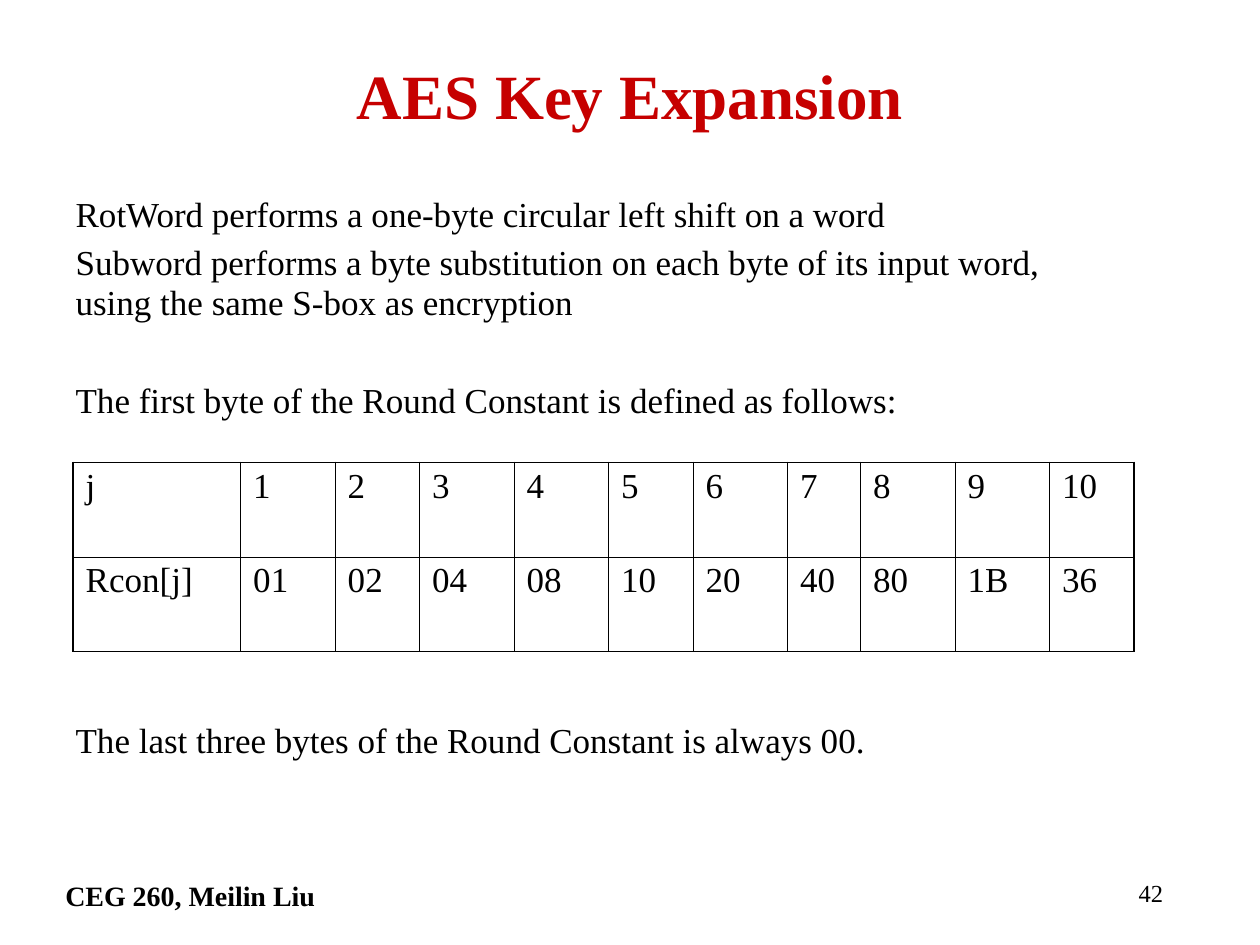
from lxml.etree import SubElement
from pptx import Presentation
from pptx.dml.color import RGBColor
from pptx.enum.text import MSO_ANCHOR, MSO_AUTO_SIZE, PP_ALIGN
from pptx.oxml.ns import qn
from pptx.util import Inches, Pt

BLACK, RED = "000000", "C60000"
THIN, THICK = 0.45, 1.08
LINE_SPACING = 0.95

# Each statement with the space before it, in points
STATEMENTS = [
    ("RotWord performs a one-byte circular left shift on a word", 0),
    ("Subword performs a byte substitution on each byte of its input word, "
     "using the same S-box as encryption", 5),
    ("The first byte of the Round Constant is defined as follows:", 33),
    ("The last three bytes of the Round Constant is always 00.", 171.5),
]
ROUND_CONSTANTS = [
    ["j"] + [str(j) for j in range(1, 11)],
    ["Rcon[j]", "01", "02", "04", "08", "10", "20", "40", "80", "1B", "36"],
]
COLUMN_WIDTHS = [1.33, 0.75, 0.67, 0.75, 0.75, 0.67, 0.75, 0.58, 0.75, 0.75, 0.67]
ROW_HEIGHT = 0.75


def rgb(color):
    return RGBColor.from_string(color)


def format_runs(paragraph, size, color=BLACK, bold=False):
    for run in paragraph.runs:
        run.font.name = "Times New Roman"
        run.font.size = Pt(size)
        run.font.bold = bold
        run.font.color.rgb = rgb(color)


def place(shape, left, top, width, height):
    shape.left, shape.top = Inches(left), Inches(top)
    shape.width, shape.height = Inches(width), Inches(height)


def remove_bullet(paragraph):
    properties = paragraph._p.get_or_add_pPr()
    properties.set("marL", "0")
    properties.set("indent", "0")
    SubElement(properties, qn("a:buNone"))


def add_title(slide, text):
    title = slide.shapes.title
    place(title, 0.75, 0.33, 8.5, 0.83)
    frame = title.text_frame
    frame.text = text
    frame.auto_size = MSO_AUTO_SIZE.NONE
    frame.vertical_anchor = MSO_ANCHOR.MIDDLE
    heading = frame.paragraphs[0]
    heading.alignment = PP_ALIGN.CENTER
    format_runs(heading, 36, RED, bold=True)


def add_statements(slide, statements):
    body = slide.placeholders[1]
    place(body, 0.5, 1.5, 8.42, 5.17)
    frame = body.text_frame
    frame.text = "\n".join(text for text, _ in statements)
    frame.auto_size = MSO_AUTO_SIZE.NONE
    frame.vertical_anchor = MSO_ANCHOR.TOP
    for paragraph, (_, space) in zip(frame.paragraphs, statements):
        remove_bullet(paragraph)
        paragraph.line_spacing = LINE_SPACING
        paragraph.space_before = Pt(space)
        format_runs(paragraph, 20)


def add_footer(slide, text, left, width, size, alignment, bold=False):
    footer = slide.shapes.add_textbox(
        Inches(left), Inches(6.92), Inches(width), Inches(0.42))
    frame = footer.text_frame
    frame.word_wrap = True
    frame.text = text
    paragraph = frame.paragraphs[0]
    paragraph.alignment = alignment
    format_runs(paragraph, size, bold=bold)


def add_border(cell, side, width):
    border = SubElement(cell._tc.get_or_add_tcPr(), qn(f"a:ln{side}"),
                        w=str(Pt(width)))
    fill = SubElement(border, qn("a:solidFill"))
    SubElement(fill, qn("a:srgbClr"), val=BLACK)


def add_grid(slide, rows, left, top):
    """Add a table with a thick outline and thin inner rules."""
    last_row, last_column = len(rows) - 1, len(COLUMN_WIDTHS) - 1
    table = slide.shapes.add_table(
        len(rows), len(COLUMN_WIDTHS), Inches(left), Inches(top),
        Inches(sum(COLUMN_WIDTHS)), Inches(ROW_HEIGHT * len(rows))).table
    table.first_row = table.horz_banding = False
    for column, width in zip(table.columns, COLUMN_WIDTHS):
        column.width = Inches(width)
    for r, values in enumerate(rows):
        table.rows[r].height = Inches(ROW_HEIGHT)
        for c, value in enumerate(values):
            cell = table.cell(r, c)
            outer_sides = {"L": c == 0, "R": c == last_column,
                           "T": r == 0, "B": r == last_row}
            for side, outer in outer_sides.items():
                add_border(cell, side, THICK if outer else THIN)
            cell.fill.background()
            cell.text_frame.text = value
            paragraph = cell.text_frame.paragraphs[0]
            paragraph.line_spacing = LINE_SPACING
            format_runs(paragraph, 20)


def main():
    presentation = Presentation()
    presentation.slide_width = Inches(10)
    presentation.slide_height = Inches(7.5)
    slide = presentation.slides.add_slide(presentation.slide_layouts[1])
    add_title(slide, "AES Key Expansion")
    add_statements(slide, STATEMENTS)
    add_grid(slide, ROUND_CONSTANTS, 0.58, 3.67)
    add_footer(slide, "CEG 260, Meilin Liu", 0.42, 6.33, 16, PP_ALIGN.LEFT, bold=True)
    add_footer(slide, "42", 7.25, 2.08, 14, PP_ALIGN.RIGHT)
    presentation.save("out.pptx")


if __name__ == "__main__":
    main()
